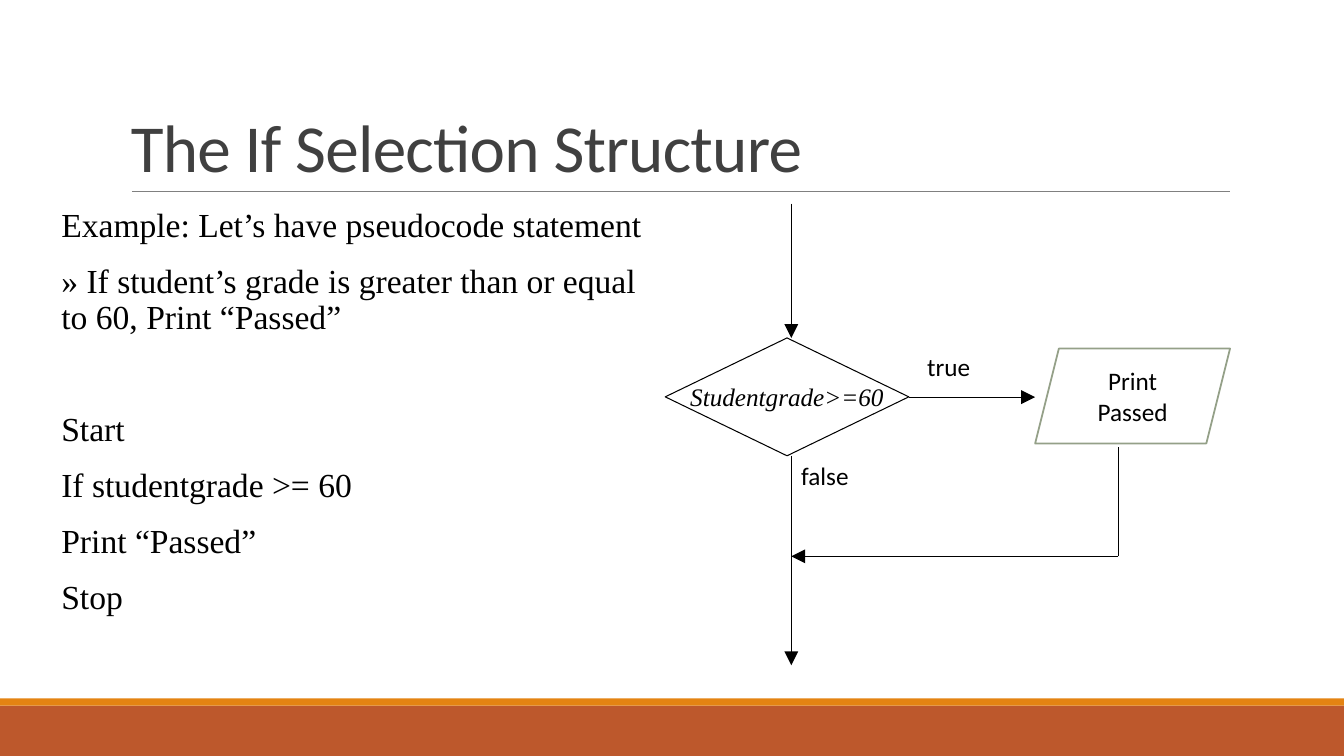
from pptx import Presentation
from pptx.dml.color import RGBColor
from pptx.enum.shapes import MSO_CONNECTOR, MSO_SHAPE
from pptx.enum.text import MSO_ANCHOR, PP_ALIGN
from pptx.oxml.ns import qn
from pptx.util import Pt
from lxml.etree import SubElement

COLORS = {
    "black": "000000",
    "white": "FFFFFF",
    "title": "404040",
    "rule": "808080",
    "rust": "BD582C",
    "orange": "E48312",
    "sage": "94A088",
}


class FlowSlide:
    sans = "Calibri"
    serif = "Times New Roman"

    def __init__(self, slide):
        self.shapes = slide.shapes

    def color(self, name):
        return RGBColor.from_string(COLORS[name])

    def style(self, paragraph, size, font, color="black", italic=False):
        for run in paragraph.runs:
            run.font.size = Pt(size)
            run.font.name = font
            run.font.italic = italic
            run.font.color.rgb = self.color(color)

    def text(self, box, lines, size, font, color="black", anchor=MSO_ANCHOR.TOP):
        frame = self.shapes.add_textbox(*map(Pt, box)).text_frame
        frame.word_wrap = True
        frame.vertical_anchor = anchor
        frame.text = "\n".join(lines)
        for paragraph in frame.paragraphs:
            self.style(paragraph, size, font, color)
        return frame

    def block(self, kind, box, fill=None, line=None, width=0.75):
        shape = self.shapes.add_shape(kind, *map(Pt, box))
        shape.shadow.inherit = False
        if fill:
            shape.fill.solid()
            shape.fill.fore_color.rgb = self.color(fill)
        else:
            shape.fill.background()
        if line:
            shape.line.color.rgb = self.color(line)
            shape.line.width = Pt(width)
        else:
            shape.line.fill.background()
        return shape

    def node(self, kind, box, label, font, italic=False, wrap=True, **outline):
        frame = self.block(kind, box, **outline).text_frame
        frame.word_wrap = wrap
        frame.vertical_anchor = MSO_ANCHOR.MIDDLE
        frame.text = label
        frame.paragraphs[0].alignment = PP_ALIGN.CENTER
        self.style(frame.paragraphs[0], 18, font, italic=italic)

    def line(self, start, end, color="black", width=0.75, arrow=False):
        connector = self.shapes.add_connector(
            MSO_CONNECTOR.STRAIGHT, *map(Pt, start + end))
        connector.line.color.rgb = self.color(color)
        connector.line.width = Pt(width)
        if arrow:
            SubElement(connector.line._get_or_add_ln(), qn("a:tailEnd"),
                       type="triangle", w="lg", len="lg")
        SubElement(connector._element.spPr, qn("a:effectLst"))


def main():
    deck = Presentation()
    deck.slide_width, deck.slide_height = Pt(960), Pt(540)
    page = FlowSlide(deck.slides.add_slide(deck.slide_layouts[6]))

    page.block(MSO_SHAPE.RECTANGLE, (0, 504, 960, 36), fill="rust")
    page.block(MSO_SHAPE.RECTANGLE, (0, 498.8, 960, 5.2), fill="orange")
    page.line((94.3, 136.8), (878.8, 136.8), "rule", 0.5)

    heading = page.text((86.4, 22.3, 792, 114.5), ["The If Selection Structure"],
                        48, page.sans, "title", MSO_ANCHOR.BOTTOM).paragraphs[0]
    heading.line_spacing = 0.85
    heading.runs[0].font._element.set("spc", "-50")

    pseudocode = page.text((36.7, 145.4, 438.5, 329.8), [
        "Example: Let’s have pseudocode statement",
        "» If student’s grade is greater than or equal to 60, Print “Passed”",
        "Start",
        "If studentgrade >= 60",
        "Print “Passed”",
        "Stop",
    ], 24, page.serif)
    pseudocode.margin_left, pseudocode.margin_right = Pt(7.2), Pt(0)
    for number, paragraph in enumerate(pseudocode.paragraphs):
        paragraph.line_spacing = 0.9
        paragraph.space_before = Pt(12 if number else 0)
        paragraph.space_after = Pt(2)
    pseudocode.paragraphs[2].space_before = Pt(52)

    flow_x, branch_x = 565.2, 798.8
    test_y, merge_y = 283.7, 397.4
    page.node(MSO_SHAPE.FLOWCHART_DECISION, (475.2, 241.4, 174, 84.2),
              "Studentgrade>=60", page.serif, italic=True, wrap=False, line="black")
    page.line((649.2, test_y), (739.4, test_y), arrow=True)
    page.line((flow_x, 145.4), (flow_x, 241.4), arrow=True)
    page.line((branch_x, merge_y), (flow_x, merge_y), arrow=True)
    page.line((branch_x, 319.4), (branch_x, merge_y))
    page.line((flow_x, 325.6), (flow_x, 475.2), arrow=True)
    for label, left, top in (("true", 655.2, 247.7), ("false", flow_x, 325.6)):
        page.text((left, top, 66.2, 28.8), [label], 18, page.sans)
    page.node(MSO_SHAPE.PARALLELOGRAM, (739.4, 249, 139.2, 67.8),
              "Print Passed", page.sans, fill="white", line="sage", width=1.25)

    deck.save("out.pptx")


if __name__ == "__main__":
    main()
